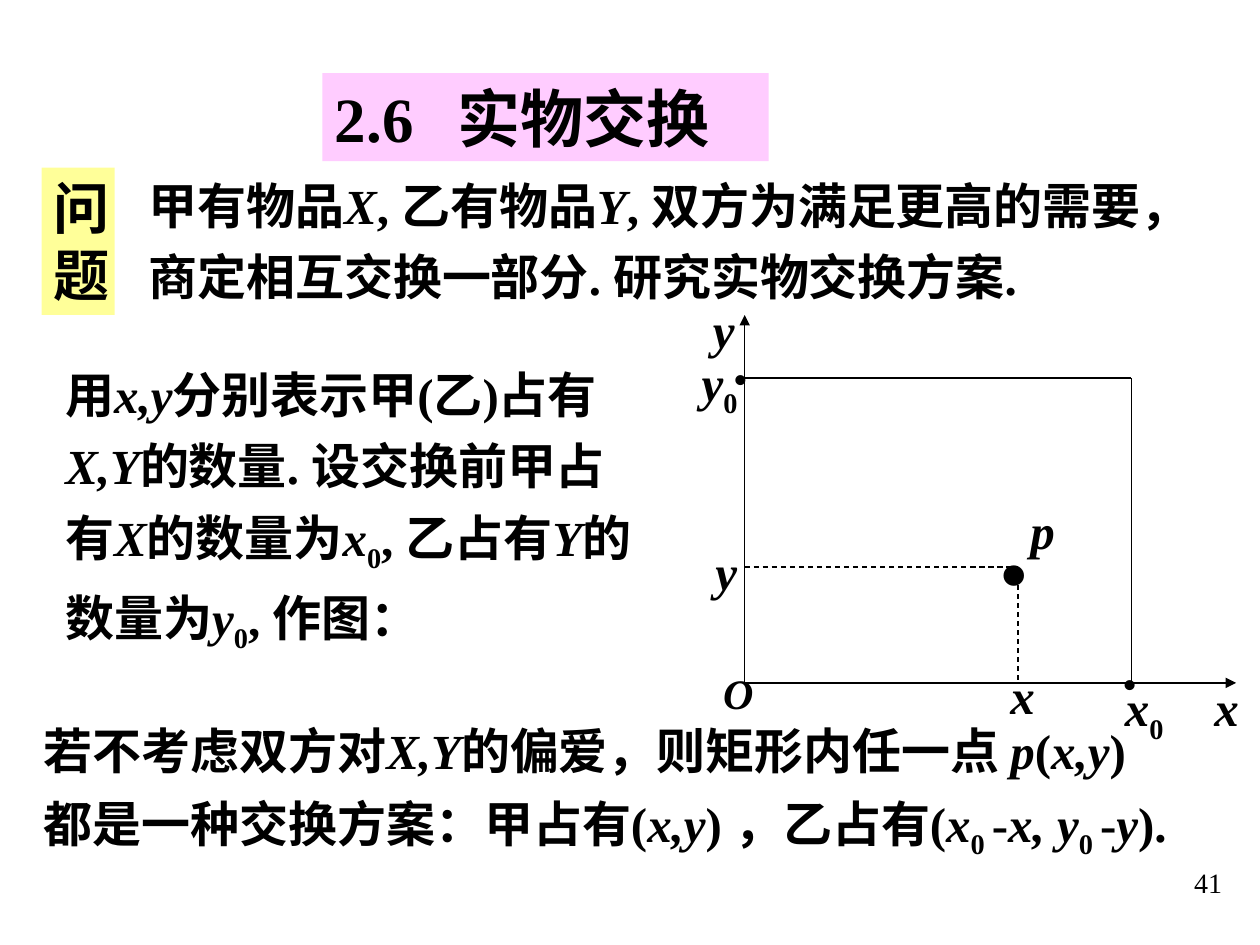
from dataclasses import dataclass

from lxml import etree
from pptx import Presentation
from pptx.dml.color import RGBColor
from pptx.enum.dml import MSO_LINE_DASH_STYLE as Dash
from pptx.enum.shapes import MSO_CONNECTOR as Connector
from pptx.enum.text import MSO_AUTO_SIZE as AutoSize
from pptx.oxml.ns import qn
from pptx.util import Inches, Pt


@dataclass(frozen=True)
class Theme:
    ink: RGBColor = RGBColor(0x00, 0x00, 0x00)
    yellow: RGBColor = RGBColor(0xFF, 0xFF, 0x99)
    pink: RGBColor = RGBColor(0xFF, 0xCC, 0xFF)
    latin: str = "Times New Roman"
    chinese: str = "Noto Sans CJK SC"
    title: int = 36
    tag: int = 32
    body: int = 28
    small: int = 24
    number: int = 16
    point: int = 72
    line: float = 0.75


theme = Theme()
deck = Presentation()
deck.slide_width, deck.slide_height = Inches(10), Inches(7.5)
page = deck.slides.add_slide(deck.slide_layouts[6])


def add_text(place, spans, size=theme.body, bold=True, spacing=None, fill=None, tab=None):
    """Each span is (text, style): "" upright, "i" italic, "_" subscript."""
    box = page.shapes.add_textbox(*(Inches(length) for length in place))
    if fill is not None:
        box.fill.solid()
        box.fill.fore_color.rgb = fill
    frame = box.text_frame
    frame.word_wrap = True
    frame.auto_size = AutoSize.SHAPE_TO_FIT_TEXT
    para = frame.paragraphs[0]
    if spacing:
        para.line_spacing = spacing
    if tab:
        stops = etree.SubElement(para._p.get_or_add_pPr(), qn("a:tabLst"))
        etree.SubElement(stops, qn("a:tab"), pos=str(Inches(tab)), algn="l")
    for text, style in spans:
        span = para.add_run()
        span.text = text
        font = span.font
        font.size, font.bold, font.italic = Pt(size), bold, style == "i"
        font.color.rgb = theme.ink
        font.name = theme.latin
        properties = font._element
        etree.SubElement(properties, qn("a:ea"), typeface=theme.chinese)
        if style == "_":
            properties.set("baseline", "-25000")


def add_line(start, end, dashed=False, arrow=False):
    line = page.shapes.add_connector(
        Connector.STRAIGHT, *(Inches(length) for length in start + end))
    line.line.color.rgb = theme.ink
    line.line.width = Pt(theme.line)
    if dashed:
        line.line.dash_style = Dash.DASH
    if arrow:
        etree.SubElement(line.line._get_or_add_ln(), qn("a:tailEnd"), type="triangle")
    etree.SubElement(line._element.spPr, qn("a:effectLst"))


# Page number
add_text((9.38, 6.82, 0.5, 0.35), [("41", "")], theme.number, bold=False)

# Problem tag and statement
add_text((0.33, 1.33, 0.58, 1.17), [("问题", "")], theme.tag, fill=theme.yellow)
add_text((1.08, 1.25, 8.58, 1.22), [
    ("甲有物品", ""), ("X", "i"), (", 乙有物品", ""), ("Y", "i"),
    (", 双方为满足更高的需要，商定相互交换一部分. 研究实物交换方案.", ""),
], spacing=1.2)

# Notation
add_text((0.42, 2.75, 4.75, 2.5), [
    ("用", ""), ("x,y", "i"), ("分别表示甲(乙)占有", ""), ("X,Y", "i"),
    ("的数量. 设交换前甲占有", ""), ("X", "i"), ("的数量为", ""),
    ("x", "i"), ("0", "_"), (", 乙占有", ""), ("Y", "i"), ("的数量为", ""),
    ("y", "i"), ("0", "_"), (", 作图：", ""),
], spacing=1.2)

# Conclusion
add_text((0.25, 5.58, 9.33, 0.66), [
    ("若不考虑双方对", ""), ("X,Y", "i"), ("的偏爱，则矩形内任一点 ", ""),
    ("p", "i"), ("(", ""), ("x,y", "i"), (")", ""),
], spacing=1.2)
add_text((0.25, 6.25, 9.33, 1.1), [
    ("都是一种交换方案：甲占有(", ""), ("x,y", "i"), (") ，乙占有(", ""),
    ("x", "i"), ("0 ", "_"), ("-", ""), ("x, y", "i"), ("0 ", "_"),
    ("-", ""), ("y", "i"), (").", ""),
])

# Axes, exchange rectangle and dashed guides to p
left, right, top, bottom = 5.91, 8.98, 3, 5.42
point_x, point_y = 8.08, 4.5
add_line((left, bottom), (9.81, bottom), arrow=True)
add_line((left, bottom), (left, 2.5), arrow=True)
add_line((left, top), (right, top))
add_line((right, top), (right, bottom))
add_line((left, point_y), (point_x, point_y), dashed=True)
add_line((point_x, point_y), (point_x, bottom), dashed=True)

# Axis and point labels
for place, name, subscript in [
    ((5.58, 4.25, 0.5, 0.57), "y", ""),
    ((7.92, 5.23, 0.5, 0.57), "x", ""),
    ((8.08, 3.92, 0.42, 0.57), "p", ""),
    ((9.54, 5.33, 0.93, 0.57), "x", ""),
    ((5.56, 2.33, 0.5, 0.57), "y", ""),
    ((5.47, 2.75, 0.67, 0.63), "y", "0"),
    ((8.83, 5.33, 0.78, 0.63), "x", "0"),
]:
    add_text(place, [(name, "i")] + ([(subscript, "_")] if subscript else []))
add_text((5.64, 5.25, 0.57, 0.5), [("O", "i")], theme.small)

# Point marks
add_text((7.83, 3.59, 0.58, 1.3), [(".", "")], theme.point)
for place in [(8.81, 5.17, 0.67, 0.5), (5.72, 2.75, 0.67, 0.5)]:
    add_text(place, [("•", "")], theme.small, bold=False)

# Title
add_text((2.56, 0.58, 3.54, 0.7), [("2.6\t", ""), ("实物交换", "")],
         theme.title, fill=theme.pink, tab=0.97)

deck.save("out.pptx")
